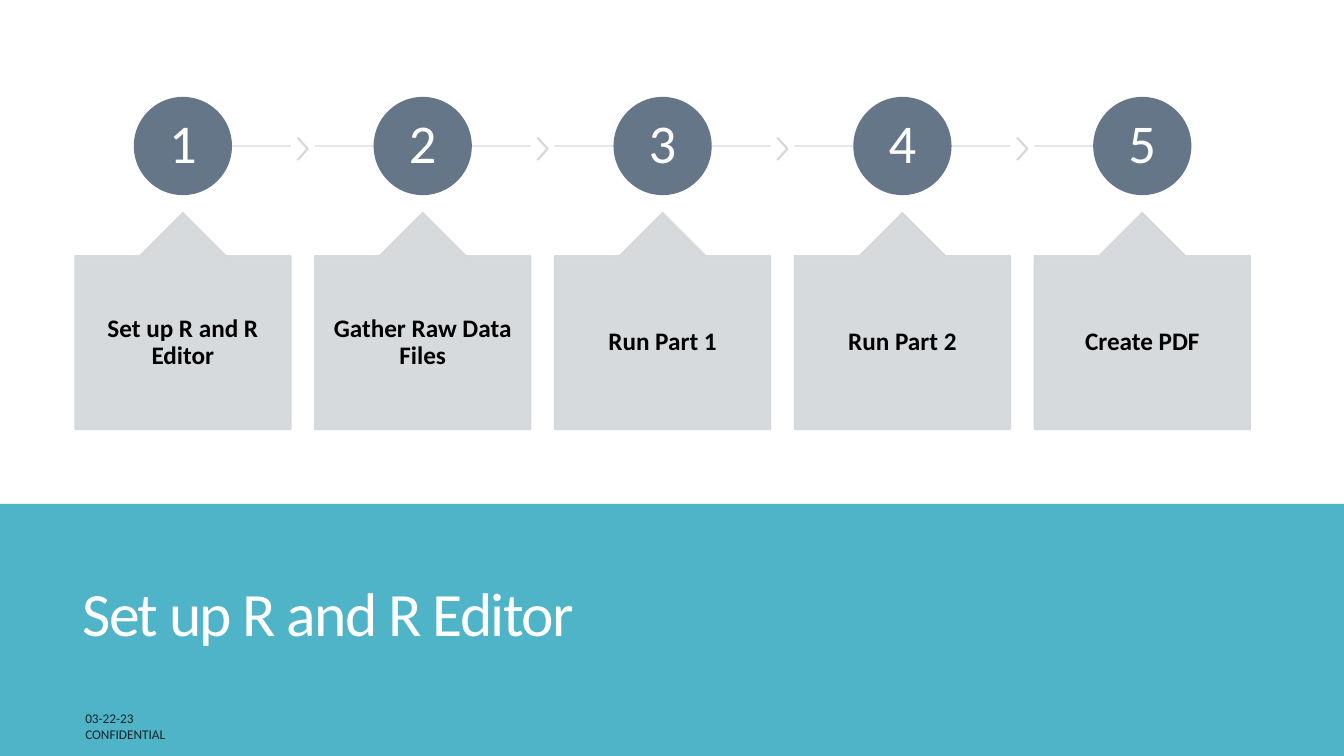
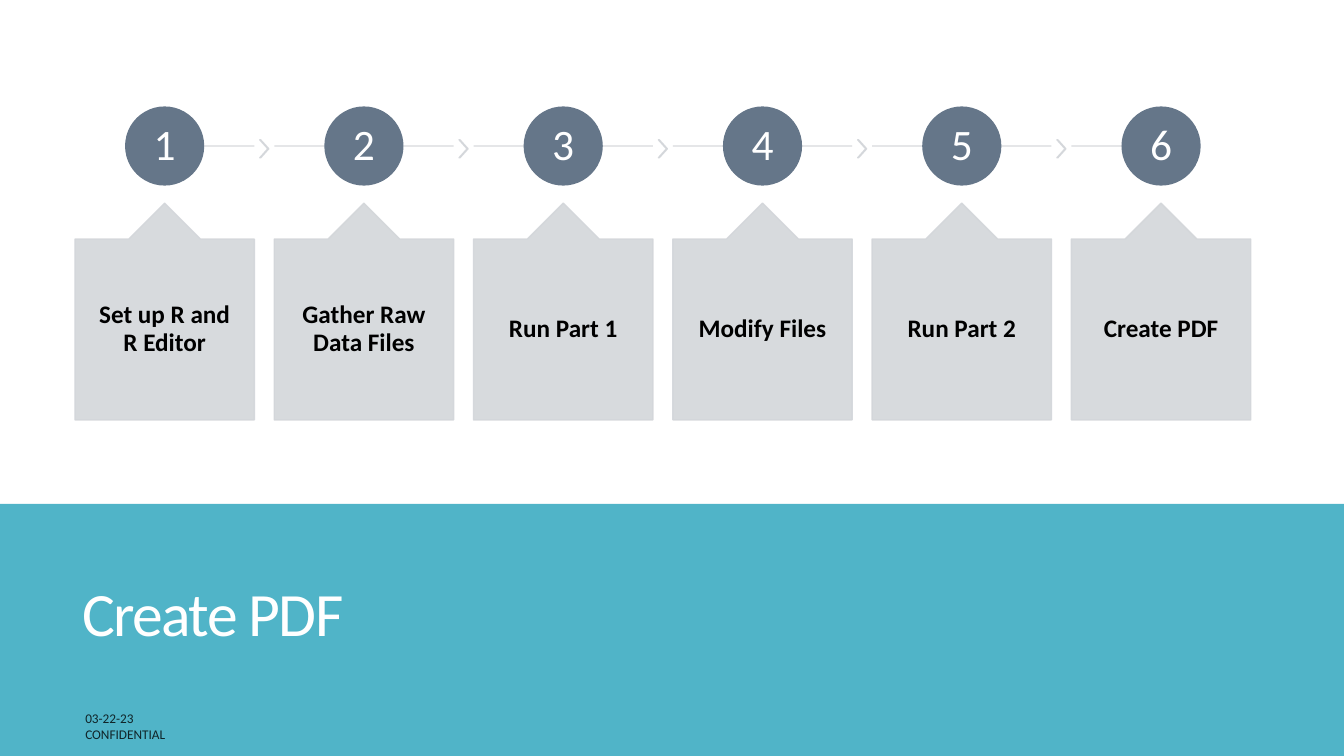
from lxml import etree
from pptx import Presentation
from pptx import util as u
from pptx.dml.color import RGBColor
from pptx.enum import shapes, text
from pptx.oxml.ns import qn

TEAL = RGBColor(0x50, 0xB4, 0xC8)
SLATE = RGBColor(0x65, 0x76, 0x89)
SILVER = RGBColor(0xD3, 0xD6, 0xDA)
WHITE = RGBColor(0xFF, 0xFF, 0xFF)
BLACK = RGBColor(0x00, 0x00, 0x00)
FONT = "Calibri"
WIDTH, HEIGHT = 33.87, 19.05
BAND_TOP = 12.7
FLOW_LEFT, FLOW_MIDDLE = 1.89, 3.68
CARD_GAP, CARD_HEIGHT = 0.46, 5.46


class ProcessDeck:
    """Draws process slides in one shared style."""

    def __init__(self):
        self.deck = Presentation()
        self.deck.slide_width, self.deck.slide_height = u.Cm(WIDTH), u.Cm(HEIGHT)
        self.slide = None

    def fade(self, element, percent):
        for colour in list(element.iter(qn("a:srgbClr"))):
            etree.SubElement(colour, qn("a:alpha")).set("val", str(percent * 1000))

    def add_wording(self, frame, wording, size, colour, spacing=0.9, align=None, bold=False):
        frame.word_wrap = True
        frame.vertical_anchor = text.MSO_ANCHOR.MIDDLE
        paragraph = frame.paragraphs[0]
        paragraph.line_spacing = spacing
        paragraph.alignment = align
        run = paragraph.add_run()
        run.text = wording
        run.font.name, run.font.size, run.font.bold = FONT, u.Pt(size), bold
        run.font.color.rgb = colour
        return run

    def label(self, box, wording, size, colour, spacing=0.9):
        frame = self.slide.shapes.add_textbox(*map(u.Cm, box)).text_frame
        return self.add_wording(frame, wording, size, colour, spacing)

    def block(self, kind, box, colour, outlined=True, opacity=100, adjustments=()):
        block = self.slide.shapes.add_shape(kind, *map(u.Cm, box))
        block.shadow.inherit = False
        block.fill.solid()
        block.fill.fore_color.rgb = colour
        if outlined:
            block.line.color.rgb = colour
            block.line.width = u.Pt(1)
        else:
            block.line.fill.background()
        for index, value in enumerate(adjustments):
            block.adjustments[index] = value
        if opacity < 100:
            self.fade(block._element.spPr, opacity)
        return block

    def centred(self, block, wording, size, colour, inset_x, inset_y, bold=False):
        frame = block.text_frame
        frame.margin_left = frame.margin_right = u.Cm(inset_x)
        frame.margin_top = frame.margin_bottom = u.Cm(inset_y)
        self.add_wording(frame, wording, size, colour, align=text.PP_ALIGN.CENTER, bold=bold)

    def track(self, start, end):
        track = self.slide.shapes.add_connector(
            shapes.MSO_CONNECTOR.STRAIGHT,
            u.Cm(start), u.Cm(FLOW_MIDDLE), u.Cm(end), u.Cm(FLOW_MIDDLE))
        track.line.color.rgb = SILVER
        track.line.width = u.Pt(1)
        self.fade(track._element.spPr, 90)
        etree.SubElement(track._element.spPr, qn("a:effectLst"))

    def chevron(self, centre, card_width):
        width, height = card_width * 0.05, card_width * 0.1
        self.block(shapes.MSO_SHAPE.CHEVRON,
                   (centre - width / 2, FLOW_MIDDLE + 0.07 - height / 2, width, height),
                   SILVER, opacity=90, adjustments=[0.9])

    def badge(self, number, centre, diameter, size):
        badge = self.block(shapes.MSO_SHAPE.OVAL,
                           (centre - diameter / 2, FLOW_MIDDLE - diameter / 2,
                            diameter, diameter), SLATE)
        self.centred(badge, str(number), size, WHITE, 0.1, 0.1)

    def card(self, wording, left, top, width):
        card = self.block(shapes.MSO_SHAPE.UP_ARROW_CALLOUT,
                          (left, top, width, CARD_HEIGHT), SILVER,
                          opacity=90, adjustments=[0.5, 0.2, 0.2, 1])
        self.centred(card, wording, 18, BLACK, width * 0.08, 0.46, bold=True)

    def flow(self, steps, card_width, diameter, number_size):
        gap = card_width / 9
        card_top = FLOW_MIDDLE + diameter / 2 + CARD_GAP
        for number, step in enumerate(steps, 1):
            left = FLOW_LEFT + (number - 1) * (card_width + gap)
            right, centre = left + card_width, left + card_width / 2
            is_last = number == len(steps)
            self.track(centre if number == 1 else left, centre if is_last else right)
            if not is_last:
                self.chevron(right + gap / 2, card_width)
            self.badge(number, centre, diameter, number_size)
            self.card(step, left, card_top, card_width)

    def start(self, title):
        self.slide = self.deck.slides.add_slide(self.deck.slide_layouts[6])
        self.block(shapes.MSO_SHAPE.RECTANGLE,
                   (0, BAND_TOP, WIDTH, HEIGHT - BAND_TOP), TEAL, outlined=False)
        heading = self.label((1.83, 13.26, 29.92, 4.6), title, 44, WHITE, 0.85)
        heading._r.get_or_add_rPr().set("spc", "-120")
        for footer, top in (("03-22-23", 17.8), ("CONFIDENTIAL", 18.21)):
            run = self.label((1.9, top, 13.97, 0.64), footer, 9.5, BLACK)
            self.fade(run._r, 80)


def main():
    process = ProcessDeck()
    setup, gather, finish = "Set up R and R Editor", "Gather Raw Data Files", "Create PDF"
    process.start(setup)
    process.flow([setup, gather, "Run Part 1", "Run Part 2", finish], 5.44, 2.44, 39)
    process.start(finish)
    process.flow([setup, gather, "Run Part 1", "Modify Files", "Run Part 2", finish],
                 4.52, 1.96, 31)
    process.deck.save("out.pptx")


if __name__ == "__main__":
    main()
